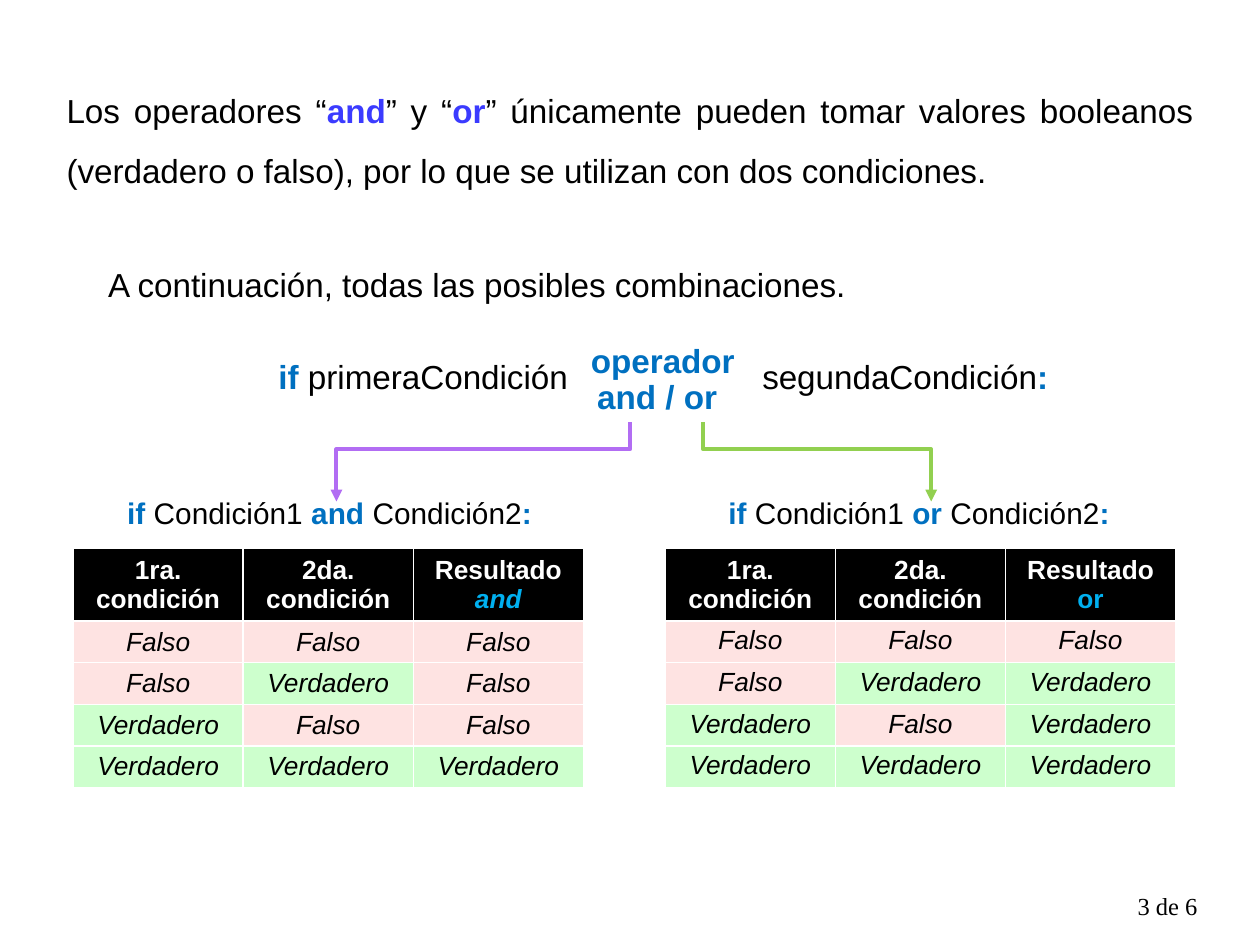
from lxml.etree import SubElement
from pptx import Presentation
from pptx.dml.color import RGBColor
from pptx.enum.shapes import MSO_CONNECTOR
from pptx.enum.text import MSO_ANCHOR, PP_ALIGN
from pptx.oxml.ns import qn
from pptx.util import Inches, Pt

COLORS = {
    "black": "000000", "white": "FFFFFF", "indigo": "3B3BFF", "keyword": "0070C0",
    "result": "00B0F0", "false": "FEE3E2", "true": "CDFFCD",
    "and": "B26DF3", "or": "92D050",
}
PADDING = (0.08, 0.04)
FALSE, TRUE = "Falso", "Verdadero"


def rgb(name):
    """Return the named colour."""
    return RGBColor.from_string(COLORS[name])


def write(paragraph, pieces, size, font="Arial", align=PP_ALIGN.LEFT):
    """Fill a paragraph with (text, colour, bold, italic) pieces."""
    paragraph.alignment = align
    paragraph.font.name = font
    paragraph.font.size = Pt(size)
    for text, color, bold, italic in pieces:
        run = paragraph.add_run()
        run.text = text
        run.font.color.rgb = rgb(color)
        run.font.bold = bold
        run.font.italic = italic


def plain(text):
    """Return a black piece of text."""
    return text, "black", False, False


def strong(text, color="keyword"):
    """Return a bold coloured piece of text."""
    return text, color, True, False


def add_text(slide, box, pieces, size, wrap=False, padding=PADDING, **style):
    """Add a text box and return its paragraph."""
    frame = slide.shapes.add_textbox(*map(Inches, box)).text_frame
    frame.word_wrap = wrap
    frame.margin_left = frame.margin_right = Inches(padding[0])
    frame.margin_top = frame.margin_bottom = Inches(padding[1])
    write(frame.paragraphs[0], pieces, size, **style)
    return frame.paragraphs[0]


def fill_cell(cell, pieces, fill, anchor):
    """Write centred text in a coloured table cell."""
    cell.fill.solid()
    cell.fill.fore_color.rgb = rgb(fill)
    cell.vertical_anchor = anchor
    cell.margin_left = cell.margin_right = Inches(PADDING[0])
    cell.margin_top = cell.margin_bottom = Inches(PADDING[1])
    write(cell.text_frame.paragraphs[0], pieces, 15, align=PP_ALIGN.CENTER)


def add_truth_table(slide, left, operator, results, italic, anchor):
    """Add the truth table of one operator."""
    table = slide.shapes.add_table(
        5, 3, Inches(left), Inches(4.35), Inches(4.05), Inches(1.88)).table
    table.horz_banding = False
    for index, row in enumerate(table.rows):
        row.height = Inches(0.26 if index else 0.46)

    headings = [[strong("1ra. condición", "white")],
                [strong("2da. condición", "white")],
                [strong("Resultado ", "white"), (operator, "result", True, italic)]]
    for column, heading in enumerate(headings):
        fill_cell(table.cell(0, column), heading, "black", MSO_ANCHOR.MIDDLE)

    conditions = [(FALSE, FALSE), (FALSE, TRUE), (TRUE, FALSE), (TRUE, TRUE)]
    for row, (pair, result) in enumerate(zip(conditions, results), start=1):
        for column, value in enumerate((*pair, result)):
            fill_cell(table.cell(row, column), [(value, "black", False, True)],
                      "true" if value == TRUE else "false", anchor)


def add_branch(slide, start, end, color):
    """Add an elbow arrow that goes down, across and down again."""
    (x1, y1), (x2, y2) = start, end
    drop, span = y2 - y1, abs(x2 - x1)
    left, top = (x1 + x2 - drop) / 2, (y1 + y2 - span) / 2
    branch = slide.shapes.add_connector(
        MSO_CONNECTOR.ELBOW, Inches(left), Inches(top),
        Inches(left + drop), Inches(top + span))
    branch.line.color.rgb = rgb(color)
    branch.line.width = Pt(2.25)

    properties = branch._element.spPr
    frame = properties.find(qn("a:xfrm"))
    if x2 > x1:
        frame.set("rot", "16200000")
        frame.set("flipH", "1")
    else:
        frame.set("rot", "5400000")
    geometry = properties.find(qn("a:prstGeom"))
    adjustments = geometry.find(qn("a:avLst"))
    if adjustments is None:
        adjustments = SubElement(geometry, qn("a:avLst"))
    SubElement(adjustments, qn("a:gd"), name="adj1", fmla="val 34400")
    SubElement(properties.find(qn("a:ln")), qn("a:tailEnd"), type="triangle")
    SubElement(properties, qn("a:effectLst"))


def add_example(slide, left, width, operator):
    """Add the condition that heads a truth table."""
    add_text(slide, (left, 3.89, width, 0.36),
             [strong("if "), plain("Condición1 "), strong(operator + " "),
              plain("Condición2"), strong(":")], 17)


def main():
    """Build the slide and save it."""
    deck = Presentation()
    deck.slide_width, deck.slide_height = Inches(10), Inches(7.5)
    slide = deck.slides.add_slide(deck.slide_layouts[6])

    intro = add_text(
        slide, (0.43, 0.51, 9.14, 1.06),
        [plain("Los operadores “"), strong("and", "indigo"), plain("” y “"),
         strong("or", "indigo"),
         plain("” únicamente pueden tomar valores booleanos (verdadero o falso), "
               "por lo que se utilizan con dos condiciones.")],
        19, wrap=True, padding=(0.1, 0.05), align=PP_ALIGN.JUSTIFY)
    intro.line_spacing = 1.5
    add_text(slide, (0.76, 2.05, 7.63, 0.42),
             [plain("A continuación, todas las posibles combinaciones.")],
             19, wrap=True, padding=(0.1, 0.05))

    add_text(slide, (2.13, 2.79, 2.48, 0.4),
             [strong("if "), plain("primeraCondición")], 19)
    add_text(slide, (4.61, 2.66, 1.31, 0.4), [strong("operador")], 19)
    add_text(slide, (4.66, 2.95, 1.25, 0.4), [strong("and / or")], 19, wrap=True)
    add_text(slide, (5.97, 2.79, 2.47, 0.4),
             [plain("segundaCondición"), strong(":")], 19)

    add_branch(slide, (5, 3.35), (2.67, 3.98), "and")
    add_branch(slide, (5.58, 3.35), (7.39, 3.98), "or")
    add_example(slide, 0.93, 3.39, "and")
    add_example(slide, 5.7, 3.21, "or")
    add_truth_table(slide, 0.58, "and", [FALSE, FALSE, FALSE, TRUE],
                    True, MSO_ANCHOR.MIDDLE)
    add_truth_table(slide, 5.28, "or", [FALSE, TRUE, TRUE, TRUE],
                    False, MSO_ANCHOR.TOP)

    add_text(slide, (8.93, 7.02, 0.68, 0.34), [plain("3 de 6")], 14,
             padding=(0.1, 0.05), font="Times New Roman")
    deck.save("out.pptx")


main()
